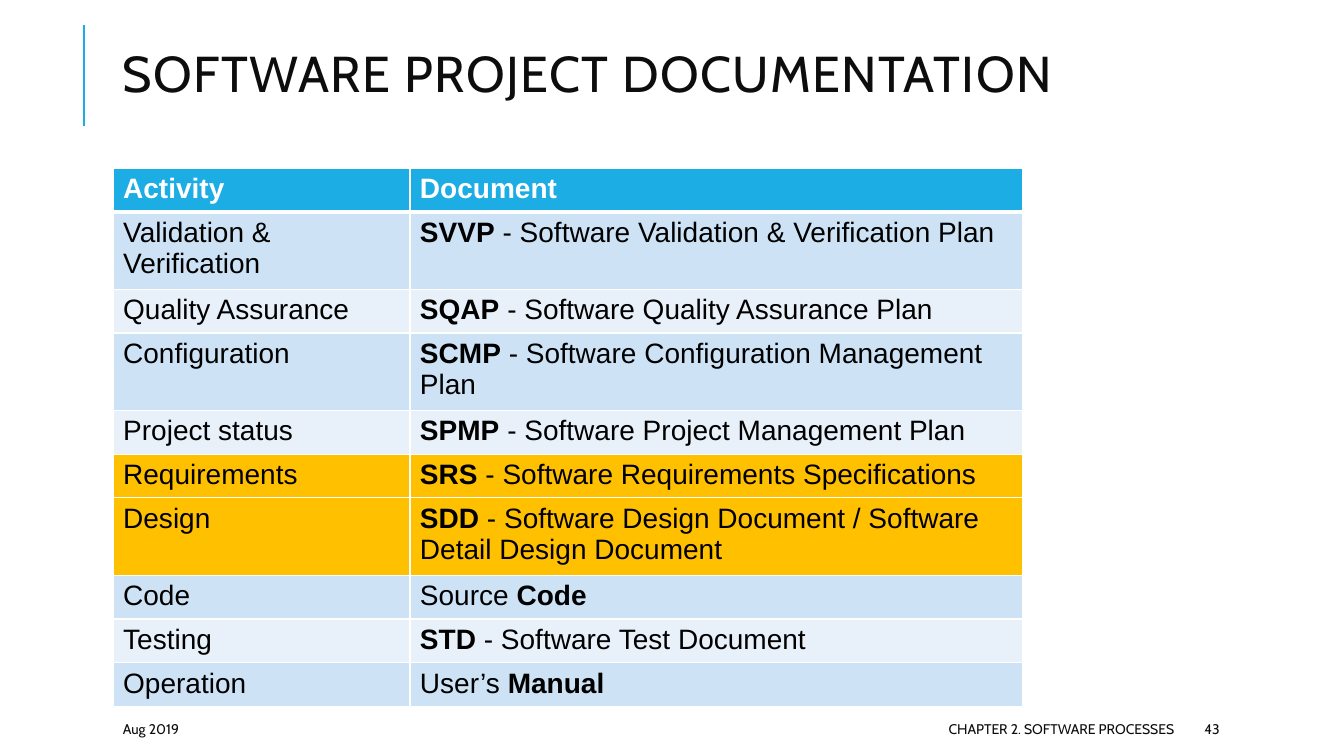
from dataclasses import dataclass

from lxml import etree
from pptx import Presentation
from pptx.dml.color import RGBColor
from pptx.enum.shapes import MSO_CONNECTOR
from pptx.enum.text import MSO_ANCHOR, PP_ALIGN
from pptx.oxml.ns import qn
from pptx.util import Cm, Pt

STRAIGHT = MSO_CONNECTOR.STRAIGHT
MIDDLE = MSO_ANCHOR.MIDDLE
LEFT, RIGHT = PP_ALIGN.LEFT, PP_ALIGN.RIGHT


@dataclass(frozen=True)
class Theme:
    accent: str = "1CADE4"
    ink: str = "0D0D0D"
    black: str = "000000"
    white: str = "FFFFFF"
    bands: tuple = ("CDE3F5", "E8F1FA")
    highlight: str = "FFC000"
    heading_font: str = "Cabin"
    table_font: str = "Arial"
    title_size: int = 36
    table_size: int = 20
    footer_size: int = 10
    rule: float = 1.5
    thin: int = 1
    thick: int = 3


def write_text(frame, text, *, font, size, color, bold=False, align=LEFT,
               line_spacing=None, tracking=None):
    para = frame.paragraphs[0]
    para.alignment = align
    para.line_spacing = line_spacing
    for index, part in enumerate(text.split("*")):
        if not part:
            continue
        span = para.add_run()
        span.text = part
        span.font.name = font
        span.font.size = Pt(size)
        span.font.bold = bold or index % 2 == 1
        span.font.color.rgb = RGBColor.from_string(color)
        if tracking:
            span.font._element.set("spc", str(tracking * 100))


class SlideBuilder:
    def __init__(self, slide, theme):
        self.slide = slide
        self.theme = theme

    def line(self, left, top, right, bottom):
        rule = self.slide.shapes.add_connector(
            STRAIGHT, Cm(left), Cm(top), Cm(right), Cm(bottom))
        rule.line.color.rgb = RGBColor.from_string(self.theme.accent)
        rule.line.width = Pt(self.theme.rule)
        etree.SubElement(rule._element.spPr, qn("a:effectLst"))

    def text(self, text, left, top, width, height, **style):
        box = self.slide.shapes.add_textbox(Cm(left), Cm(top), Cm(width), Cm(height))
        frame = box.text_frame
        frame.word_wrap = True
        frame.vertical_anchor = MIDDLE
        write_text(frame, text, font=self.theme.heading_font,
                   color=self.theme.ink, **style)

    def border(self, cell, side, width):
        properties = cell._tc.get_or_add_tcPr()
        edge = etree.Element(qn(f"a:ln{side}"), w=str(Pt(width)))
        fill = etree.SubElement(edge, qn("a:solidFill"))
        etree.SubElement(fill, qn("a:srgbClr"), val=self.theme.white)
        properties.insert("LRTB".index(side), edge)

    def table(self, rows, left, top, widths, row_height, highlighted):
        theme = self.theme
        table = self.slide.shapes.add_table(
            len(rows), len(widths), Cm(left), Cm(top),
            Cm(sum(widths)), Cm(row_height * len(rows))).table
        for column, width in zip(table.columns, widths):
            column.width = Cm(width)
        for number, (row, texts) in enumerate(zip(table.rows, rows)):
            row.height = Cm(row_height)
            header = number == 0
            if header:
                fill = theme.accent
            elif texts[0] in highlighted:
                fill = theme.highlight
            else:
                fill = theme.bands[(number - 1) % 2]
            edges = {"L": theme.thin, "R": theme.thin,
                     "T": theme.thick if number == 1 else theme.thin,
                     "B": theme.thick if header else theme.thin}
            for cell, text in zip(row.cells, texts):
                cell.fill.solid()
                cell.fill.fore_color.rgb = RGBColor.from_string(fill)
                for side, width in edges.items():
                    self.border(cell, side, width)
                write_text(cell.text_frame, text, font=theme.table_font,
                           size=theme.table_size, bold=header,
                           color=theme.white if header else theme.black)


DOCUMENTS = [
    ("Activity", "Document"),
    ("Validation & Verification", "*SVVP* - Software Validation & Verification Plan"),
    ("Quality Assurance", "*SQAP* - Software Quality Assurance Plan"),
    ("Configuration", "*SCMP* - Software Configuration Management Plan"),
    ("Project status", "*SPMP* - Software Project Management Plan"),
    ("Requirements", "*SRS* - Software Requirements Specifications"),
    ("Design", "*SDD* - Software Design Document / Software Detail Design Document"),
    ("Code", "Source *Code*"),
    ("Testing", "*STD* - Software Test Document"),
    ("Operation", "User’s *Manual*"),
]
FOOTERS = [
    ("Aug 2019", 2.85, 6, LEFT),
    ("CHAPTER 2. SOFTWARE PROCESSES", 13.46, 16.38, RIGHT),
    ("43", 30.1, 2.7, LEFT),
]

deck = Presentation()
deck.slide_width, deck.slide_height = Cm(33.87), Cm(19.05)
theme = Theme()
page = SlideBuilder(deck.slides.add_slide(deck.slide_layouts[6]), theme)

page.line(2.12, 3.18, 2.12, 0.64)
page.text("SOFTWARE PROJECT DOCUMENTATION", 2.85, 0.28, 29.97, 3.38,
          size=theme.title_size, line_spacing=0.8, tracking=1)
page.table(DOCUMENTS, 2.85, 4.24, (7.48, 15.45), 1.04, {"Requirements", "Design"})
for text, left, width, align in FOOTERS:
    page.text(text, left, 17.98, width, 0.76, size=theme.footer_size, align=align)

deck.save("out.pptx")
